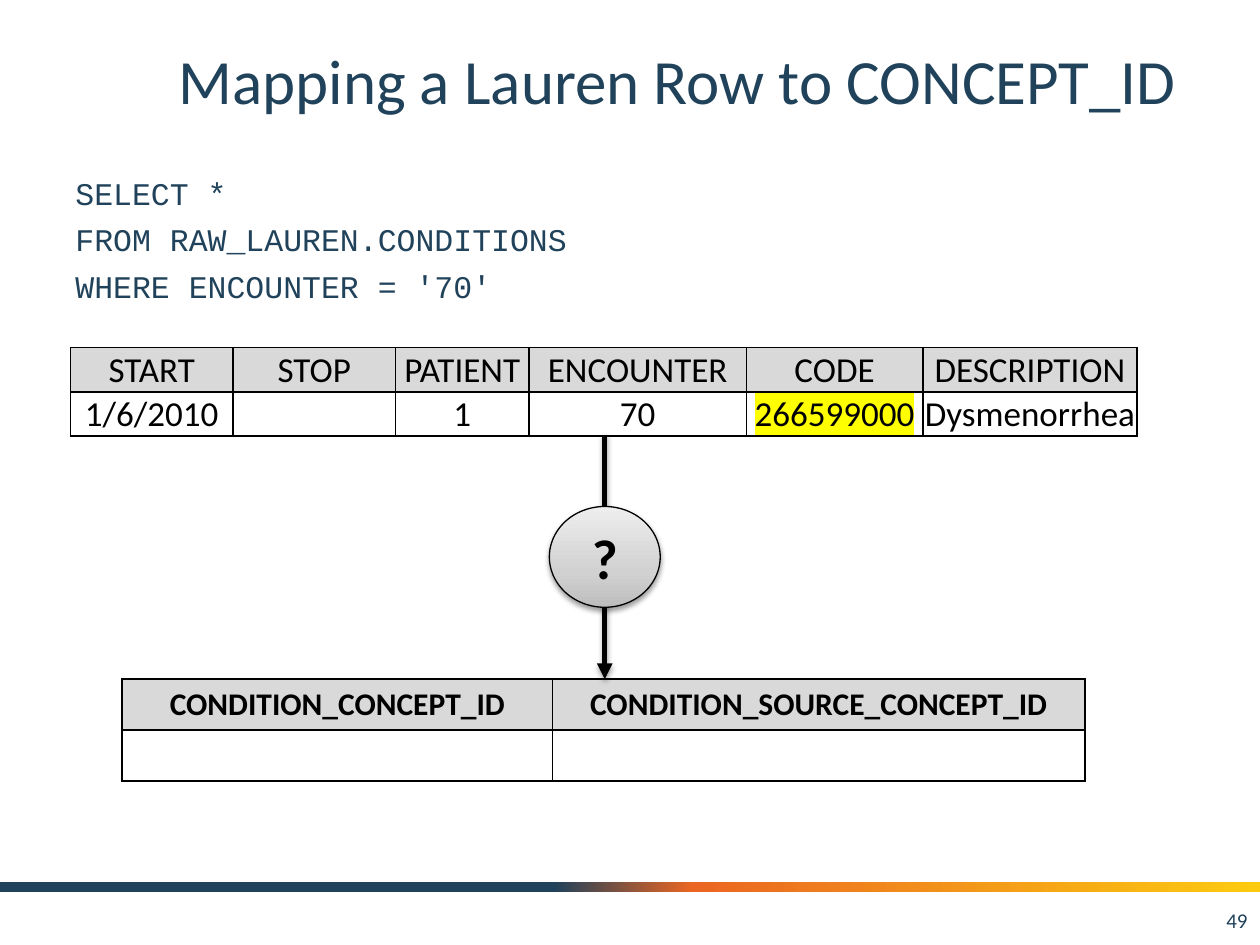
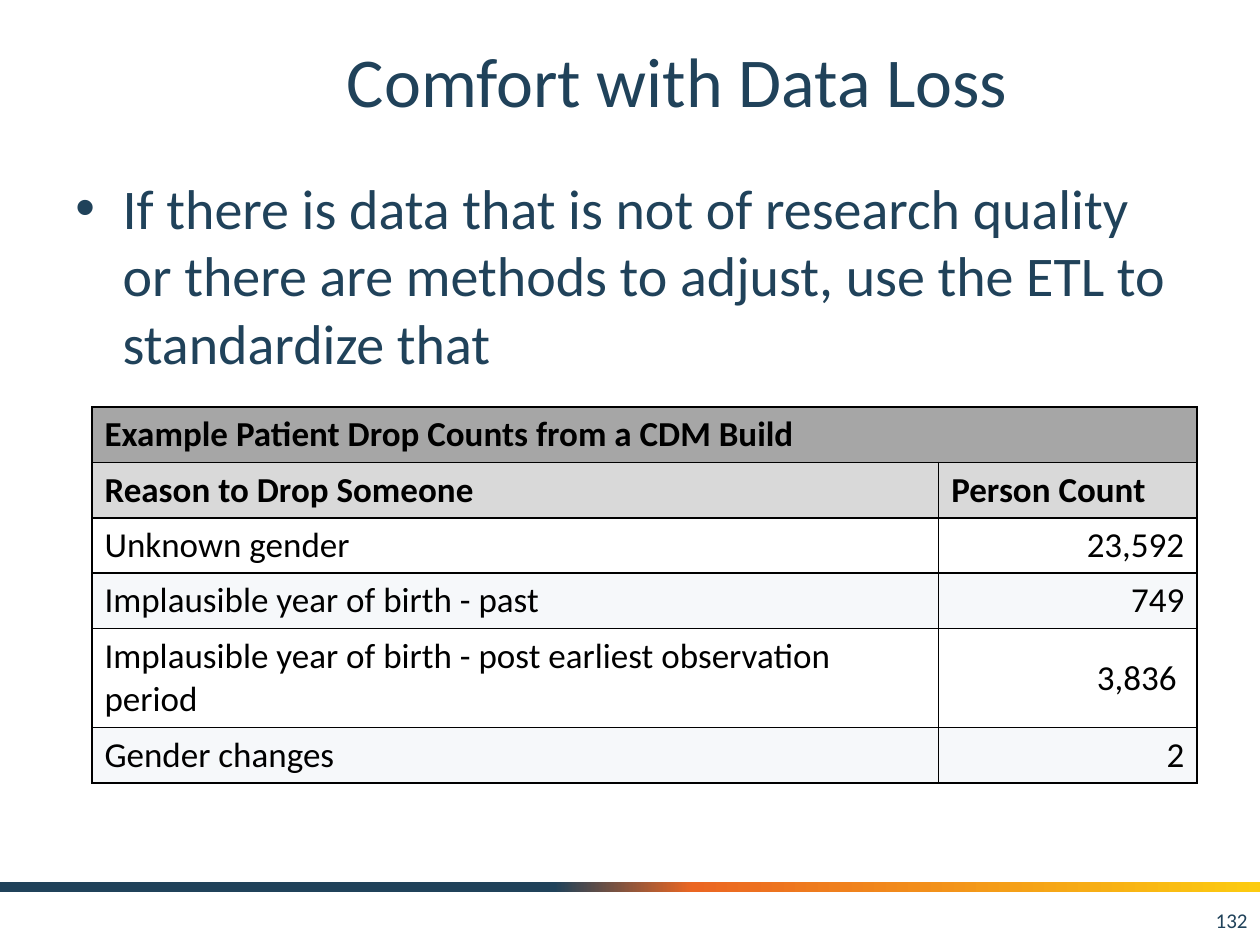
from lxml.etree import SubElement as Sub
from pptx import Presentation
from pptx.dml.color import RGBColor
from pptx.enum.shapes import MSO_CONNECTOR as CONN, MSO_SHAPE as SHAPE
from pptx.enum.text import MSO_ANCHOR as ANCHOR, PP_ALIGN as ALIGN
from pptx.oxml.ns import qn
from pptx.util import Emu, Inches, Pt

NAVY, ORANGE, YELLOW, BLACK = "20425A", "EB6622", "FCCB10", "000000"
GREY, DARK_GREY, WHITE, PALE = "D9D9D9", "A6A6A6", "FFFFFF", "F6F8FA"
rgb = RGBColor.from_string
LEFT, CENTER, RIGHT = ALIGN.LEFT, ALIGN.CENTER, ALIGN.RIGHT

prs = Presentation()
prs.slide_width, prs.slide_height = Inches(10), Inches(7.5)
UNIT = prs.slide_width / 100


def grid(*cells):
    return [Emu(round(n * UNIT)) for n in cells]


def write(p, text, size, color=NAVY, bold=False, font="Calibri", align=LEFT):
    p.alignment = align
    r = p.add_run()
    r.text = text
    r.font.name, r.font.size, r.font.bold = font, Pt(size), bold
    r.font.color.rgb = rgb(color)
    return r


slides, bodies, gradients, shadows = [], [], [], []
for title, size, number in [("Mapping a Lauren Row to CONCEPT_ID", 36, "49"),
                            ("Comfort with Data Loss", 40, "132")]:
    s = prs.slides.add_slide(prs.slide_layouts[6])
    slides.append(s)
    band = s.shapes.add_shape(SHAPE.RECTANGLE, *grid(0, 70, 100, 0.8))
    band.shadow.inherit = False
    band.line.fill.background()
    gradients.append((band, 0, [(44, NAVY), (55, ORANGE), (100, YELLOW)]))
    for box, text, pt, align in [((12.5, 1.7, 82.5, 9.2), title, size, CENTER),
                                 ((76.7, 71, 23.3, 4), number, 12, RIGHT),
                                 ((5, 13.3, 90, 53.7), None, 0, LEFT)]:
        tf = s.shapes.add_textbox(*grid(*box)).text_frame
        tf.word_wrap = True
        if text:
            tf.vertical_anchor = ANCHOR.MIDDLE
            write(tf.paragraphs[0], text, pt, align=align)
    bodies.append(tf)

mapping, loss = slides
query, advice = bodies
for i, text in enumerate(["SELECT *", "FROM RAW_LAUREN.CONDITIONS",
                          "WHERE ENCOUNTER = '70'"]):
    p = query.add_paragraph() if i else query.paragraphs[0]
    if i:
        p.space_before = Pt(5)
    write(p, text, 18, font="Courier New")

p = advice.paragraphs[0]
pPr = p._p.get_or_add_pPr()
indent = grid(3.75)[0]
pPr.set("marL", str(indent))
pPr.set("indent", str(-indent))
Sub(pPr, qn("a:buFont")).set("typeface", "Arial")
Sub(pPr, qn("a:buChar")).set("char", "•")
write(p, "If there is data that is not of research quality or there are "
         "methods to adjust, use the ETL to standardize that", 32)

source_rows = [
    ["START", "STOP", "PATIENT", "ENCOUNTER", "CODE", "DESCRIPTION"],
    ["1/6/2010", "", "1", "70", "266599000", "Dysmenorrhea"]]
target_rows = [["CONDITION_CONCEPT_ID", "CONDITION_SOURCE_CONCEPT_ID"], ["", ""]]
drop_rows = [
    ["Example Patient Drop Counts from a CDM Build", ""],
    ["Reason to Drop Someone", "Person Count"],
    ["Unknown gender", "23,592"],
    ["Implausible year of birth - past", "749"],
    ["Implausible year of birth - post earliest observation period", "3,836"],
    ["Gender changes", "2"]]

tables = []
for s, x, y, cols, heights, rows, fills, size, bold_rows, head, value, inset in [
        (mapping, 5.6, 27.6, [12.9, 12.9, 10.6, 17.25, 14, 17], [3.5] * 2,
         source_rows, [GREY, WHITE], 20, 0, CENTER, CENTER, (0.1, 0.1, 0.1, 0)),
        (mapping, 9.7, 53.9, [34.15, 42.25], [4.05] * 2,
         target_rows, [GREY, WHITE], 18, 1, CENTER, CENTER, (1, 0.5, 1, 0.5)),
        (loss, 7.3, 32.3, [67.2, 20.5], [4.4] * 4 + [7.85, 4.4],
         drop_rows, [DARK_GREY, GREY] + [WHITE, PALE] * 2, 20, 2, LEFT, RIGHT,
         (1, 0.5, 1, 0.5))]:
    frame = s.shapes.add_table(len(rows), len(cols),
                               *grid(x, y, sum(cols), sum(heights)))
    table = frame.table
    tables.append(table)
    table.first_row = table.horz_banding = False
    for col, width in zip(table.columns, grid(*cols)):
        col.width = width
    for row, height in zip(table.rows, grid(*heights)):
        row.height = height
    for i, texts in enumerate(rows):
        for j, text in enumerate(texts):
            c = table.cell(i, j)
            (c.margin_left, c.margin_top,
             c.margin_right, c.margin_bottom) = grid(*inset)
            c.vertical_anchor = ANCHOR.MIDDLE
            for side in ("lnL", "lnR", "lnT", "lnB"):
                ln = Sub(c._tc.get_or_add_tcPr(), qn("a:" + side), w=str(Pt(1)))
                Sub(Sub(ln, qn("a:solidFill")), qn("a:srgbClr"), val=BLACK)
            c.fill.solid()
            c.fill.fore_color.rgb = rgb(fills[i])
            if text:
                is_value = j > 0 and i >= max(bold_rows, 1)
                write(c.text_frame.paragraphs[0], text, size, BLACK,
                      i < bold_rows, align=value if is_value else head)

source, target, drops = tables
drops.cell(0, 0).merge(drops.cell(0, 1))
drops.cell(4, 1).margin_right = grid(1.6)[0]
code_run = source.cell(1, 4).text_frame.paragraphs[0].runs[0]
highlight = Sub(code_run._r.rPr, qn("a:highlight"))
Sub(highlight, qn("a:srgbClr"), val="FFFF00")
code_run._r.rPr.find(qn("a:solidFill")).addnext(highlight)

arrow = mapping.shapes.add_connector(CONN.STRAIGHT, *grid(48, 34.5, 48, 53.9))
arrow.line.color.rgb = rgb(BLACK)
arrow.line.width = Pt(3)
Sub(arrow.line._get_or_add_ln(), qn("a:tailEnd"), type="triangle")
shadows.append((Sub(arrow._element.spPr, qn("a:effectLst")), 1.8, 35))

unknown = mapping.shapes.add_shape(SHAPE.OVAL, *grid(43.6, 40.2, 8.8, 8))
unknown.line.color.rgb = rgb(BLACK)
unknown.line.width = Pt(0.75)
unknown.shadow.inherit = False
shadows.append((unknown._element.spPr.find(qn("a:effectLst")), 1.6, 38))
gradients.append((unknown, 270, [(0, "BDBDBD"), (35, "D1D1D1"), (100, "EEEEEE")]))
unknown.text_frame.vertical_anchor = ANCHOR.MIDDLE
write(unknown.text_frame.paragraphs[0], "?", 32, BLACK, True, align=CENTER)

for effects, distance, alpha in shadows:
    shadow = Sub(effects, qn("a:outerShdw"), blurRad=str(Pt(3.1)),
                 dist=str(Pt(distance)), dir="5400000", rotWithShape="0")
    Sub(Sub(shadow, qn("a:srgbClr"), val=BLACK), qn("a:alpha"),
        val=str(alpha * 1000))

for sp, angle, stops in gradients:
    sp.fill.gradient()
    grad = sp._element.spPr.find(qn("a:gradFill"))
    gs_list = grad.find(qn("a:gsLst"))
    for gs in list(gs_list):
        gs_list.remove(gs)
    for position, color in stops:
        gs = Sub(gs_list, qn("a:gs"), pos=str(position * 1000))
        Sub(gs, qn("a:srgbClr"), val=color)
    grad.find(qn("a:lin")).set("ang", str(angle * 60000))

prs.save("out.pptx")
